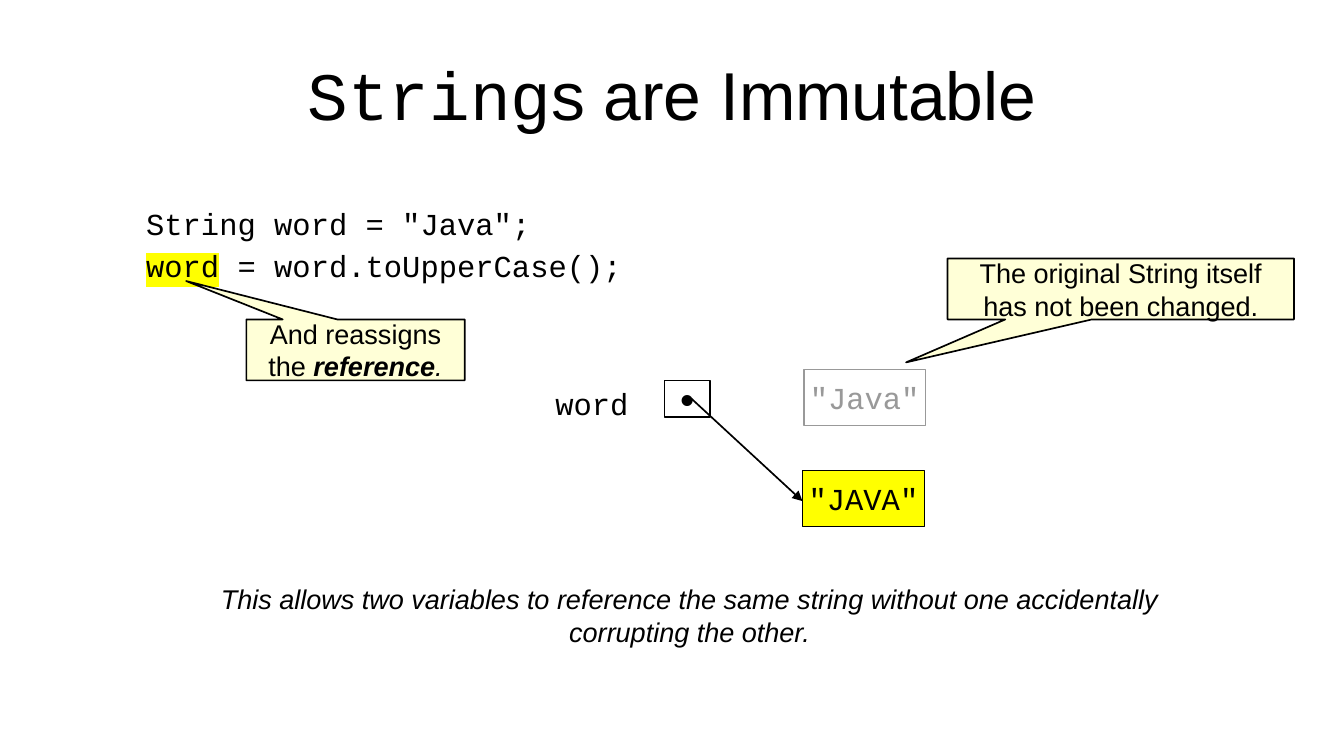
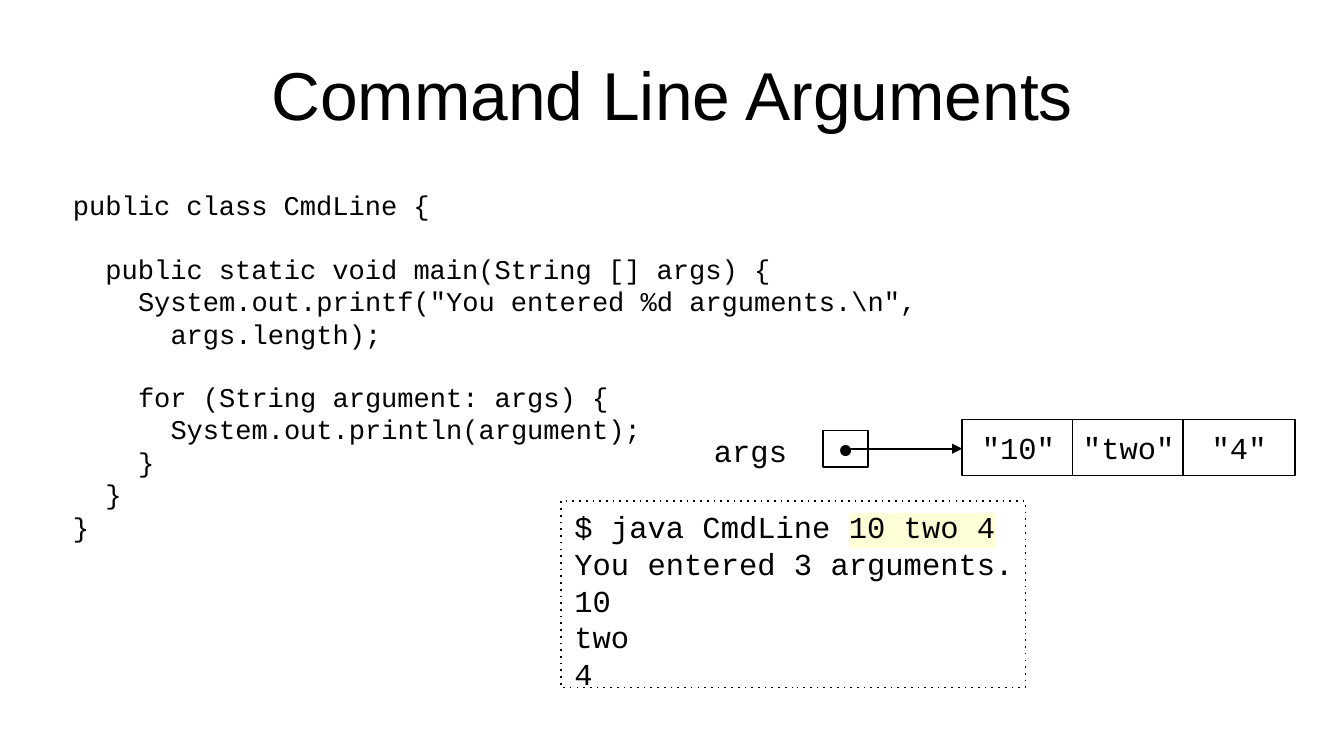
from lxml import etree
from pptx import Presentation
from pptx.dml.color import RGBColor
from pptx.enum import shapes, text
from pptx.oxml import ns
from pptx.util import Pt

BLACK = RGBColor(0x00, 0x00, 0x00)
WHITE = RGBColor(0xFF, 0xFF, 0xFF)
GREY = RGBColor(0x99, 0x99, 0x99)
YELLOW = RGBColor(0xFF, 0xFF, 0x00)
CREAM = RGBColor(0xFF, 0xFF, 0xD7)

SANS = "Arial"
MONO = "Courier New"
WIDE, HIGH = 793.44, 446.4
TITLE = (39.6, 18, 714.24, 74.88)
CELL = 33.12
STEP = 19.2
BLANK = 18.12

SHAPE = shapes.MSO_SHAPE
LEFT, MID = text.PP_ALIGN.LEFT, text.PP_ALIGN.CENTER
TOP, CENTRE = text.MSO_ANCHOR.TOP, text.MSO_ANCHOR.MIDDLE


def add(parent, tag, **attrs):
    return etree.SubElement(parent, ns.qn(tag), attrs)


def style(run, font=SANS, size=18, color=BLACK, bold=False, slant=False,
          mark=None):
    face = run.font
    face.name, face.size = font, Pt(size)
    face.bold, face.italic = bold, slant
    face.color.rgb = color
    if mark is not None:
        props = run._r.get_or_add_rPr()
        glow = etree.Element(ns.qn("a:highlight"))
        add(glow, "a:srgbClr", val=str(mark))
        props.find(ns.qn("a:solidFill")).addnext(glow)


def write(frame, lines, align=LEFT, space=None, **fmt):
    for i, line in enumerate(lines):
        para = frame.paragraphs[0] if i == 0 else frame.add_paragraph()
        para.alignment = align
        if space:
            para.line_spacing = space
        parts = [(line, {})] if isinstance(line, str) else line
        for words, extra in parts:
            run = para.add_run()
            run.text = words
            style(run, **{**fmt, **extra})


def inset(frame, side, top):
    frame.margin_left = frame.margin_right = Pt(side)
    frame.margin_top = frame.margin_bottom = Pt(top)


def label(slide, box, lines, **fmt):
    frame = slide.shapes.add_textbox(*map(Pt, box)).text_frame
    frame.word_wrap = True
    inset(frame, 7.2, 3.6)
    write(frame, lines, **fmt)
    return frame


def block(slide, box, lines, kind=SHAPE.RECTANGLE, fill=WHITE, edge=BLACK,
          anchor=CENTRE, align=MID, **fmt):
    shape = slide.shapes.add_shape(kind, *map(Pt, box))
    shape.shadow.inherit = False
    if fill is None:
        shape.fill.background()
    else:
        shape.fill.solid()
        shape.fill.fore_color.rgb = fill
    shape.line.color.rgb = edge
    shape.line.width = Pt(1)
    frame = shape.text_frame
    frame.word_wrap = False
    frame.vertical_anchor = anchor
    inset(frame, 7.92, 4.32)
    write(frame, lines, align=align, **fmt)
    return shape


def callout(slide, box, lines, tip):
    shape = block(slide, box, lines, kind=SHAPE.RECTANGULAR_CALLOUT,
                  fill=CREAM, size=16)
    shape.adjustments[0], shape.adjustments[1] = tip


def arrow(slide, start, end):
    line = slide.shapes.add_connector(
        shapes.MSO_CONNECTOR.STRAIGHT, *map(Pt, start + end))
    line.line.color.rgb = BLACK
    line.line.width = Pt(1)
    props = line.element.spPr
    add(props.find(ns.qn("a:ln")), "a:tailEnd", type="triangle")
    add(props, "a:effectLst")


def pointer(slide, x, y, name, end, lift):
    label(slide, (x - 71.64, y - lift, 71.64, 27.36), [name], font=MONO)
    block(slide, (x, y, 26.64, 21.6), ["•"], size=24)
    arrow(slide, (x + 15.84, y + 10.8), end)


def value(slide, x, y, width, words, **fmt):
    block(slide, (x, y, width, CELL), [words], font=MONO, **fmt)


def array(slide, x, y, items):
    for i, item in enumerate(items):
        value(slide, x + 65.16 * i, y, 66.24, item)


def code(slide, box, rows):
    frame = label(slide, box, [words for _, _, words in rows],
                  font=MONO, size=16)
    for para, (depth, gap, _) in zip(frame.paragraphs, rows):
        props = para._p.get_or_add_pPr()
        props.set("marL", str(Pt(depth * STEP)))
        props.set("indent", "0")
        para.space_before = Pt(gap)


def console(slide, box, lines):
    shape = block(slide, box, lines, fill=None, anchor=TOP, align=LEFT,
                  font=MONO)
    add(shape.element.spPr.find(ns.qn("a:ln")), "a:prstDash", val="dot")


def set_layout(deck):
    layout = deck.slide_layouts[5]
    head = layout.placeholders[0]
    head.left, head.top, head.width, head.height = map(Pt, TITLE)
    inset(head.text_frame, 0, 0)
    head.text_frame.vertical_anchor = CENTRE
    return layout


def new_slide(deck, layout, title):
    slide = deck.slides.add_slide(layout)
    write(slide.shapes.title.text_frame, [title], align=MID, size=40)
    return slide


def string_slide(deck, layout):
    slide = new_slide(deck, layout,
                      [("String", {"font": MONO}), ("s are Immutable", {})])
    label(slide, (79.2, 114.48, 310, 68.4), [
        'String word = "Java";',
        [("word", {"mark": YELLOW}), (" = ", {}),
         ("word.toUpperCase();", {"mark": WHITE})],
    ], font=MONO, space=1.15)
    callout(slide, (145.44, 188.64, 128.88, 36), [
        "And reassigns",
        [("the ", {}), ("reference", {"bold": True, "slant": True}),
         (".", {"slant": True})],
    ], (-0.776, -1.13))
    value(slide, 474.48, 218.16, 72, '"Java"', edge=GREY, color=GREY)
    pointer(slide, 392.4, 224.64, "word", (473.76, 295.92), 0.72)
    value(slide, 473.76, 277.92, 72, '"JAVA"', fill=YELLOW)
    callout(slide, (559.44, 152.64, 204.48, 36),
            ["The original String itself", "has not been changed."],
            (-0.62, 1.205))
    label(slide, (108.72, 340.56, 596.88, 42.48), [
        "This allows two variables to reference the same string "
        "without one accidentally corrupting the other."
    ], align=MID, size=16, slant=True)


def command_slide(deck, layout):
    slide = new_slide(deck, layout, "Command Line Arguments")
    code(slide, (36, 108, 530, 206.64), [
        (0, 0, "public class CmdLine {"),
        (1, BLANK, "public static void main(String [] args) {"),
        (2, 0, r'System.out.printf("You entered %d arguments.\n",'),
        (3, 0, "args.length);"),
        (2, BLANK, "for (String argument: args) {"),
        (3, 0, "System.out.println(argument);"),
        (2, 0, "}"),
        (1, 0, "}"),
        (0, 0, "}"),
    ])
    console(slide, (331.2, 295.92, 274.32, 110.16), [
        [("$ java CmdLine ", {}), ("10 two 4", {"mark": CREAM})],
        "You entered 3 arguments.", "10", "two", "4",
    ])
    pointer(slide, 486, 254.16, "args", (568.08, 264.96), 2.88)
    array(slide, 568.08, 247.68, ['"10"', '"two"', '"4"'])


def main():
    deck = Presentation()
    deck.slide_width, deck.slide_height = Pt(WIDE), Pt(HIGH)
    layout = set_layout(deck)
    string_slide(deck, layout)
    command_slide(deck, layout)
    deck.save("out.pptx")


if __name__ == "__main__":
    main()
